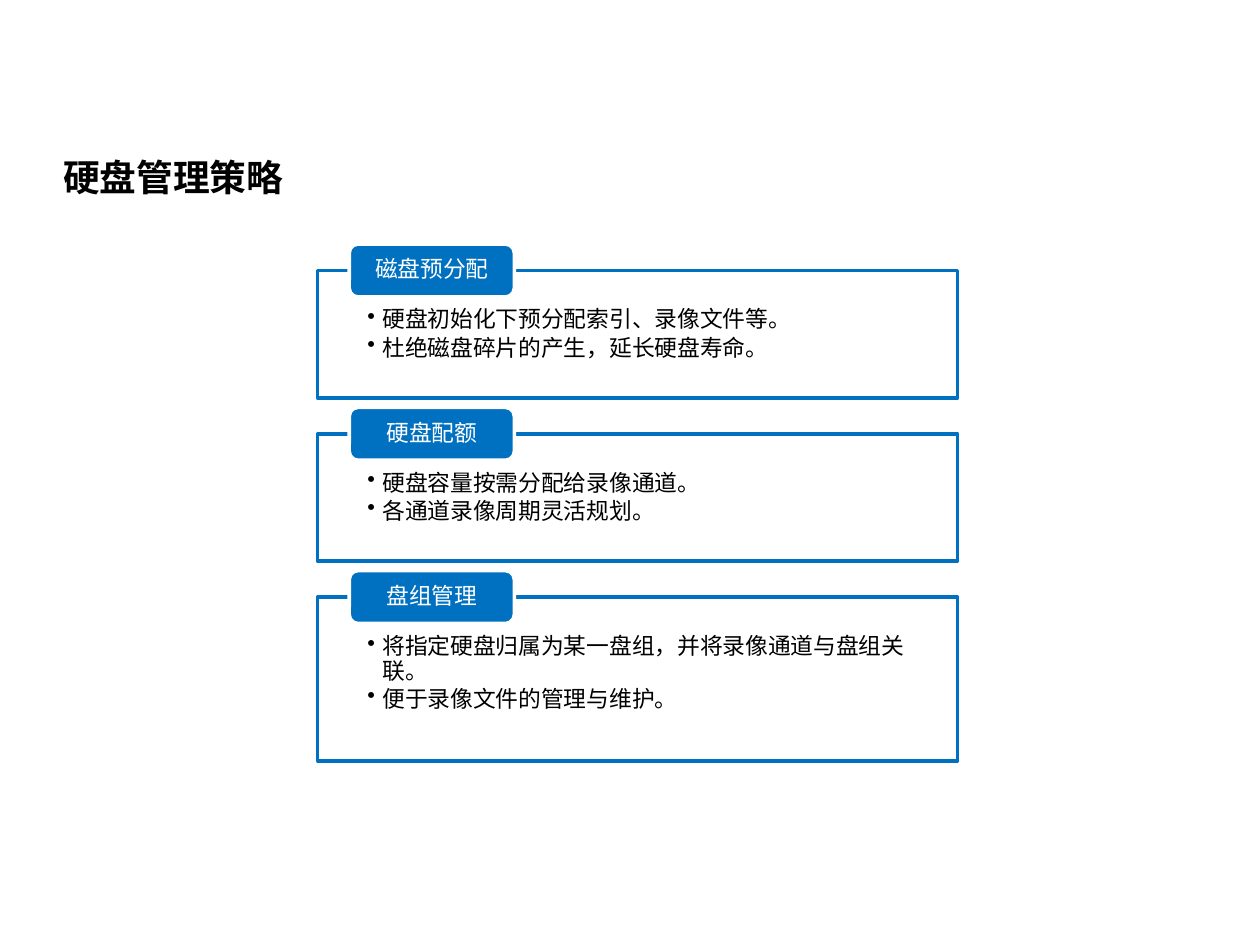
import pptx
import pptx.dml.color
import pptx.enum.shapes
import pptx.enum.text
import pptx.oxml
import pptx.oxml.ns
import pptx.util

Pt = pptx.util.Pt
RGBColor = pptx.dml.color.RGBColor
SHAPES = pptx.enum.shapes.MSO_SHAPE
ALIGN = pptx.enum.text.PP_ALIGN
ANCHOR = pptx.enum.text.MSO_ANCHOR

BLUE = RGBColor(0x00, 0x70, 0xC0)
WHITE = RGBColor(0xFF, 0xFF, 0xFF)
BLACK = RGBColor(0x00, 0x00, 0x00)

# Section layout, in points
FRAME_LEFT, FRAME_WIDTH = 181.5, 365.7
FIRST_TOP, FRAME_GAP = 154.6, 20.5
LABEL_INDENT, LABEL_WIDTH, LABEL_HEIGHT = 18.1, 94.3, 30.2

# Label, frame height, bullet points
SECTIONS = [
    ("磁盘预分配", 72.8,
     ["硬盘初始化下预分配索引、录像文件等。", "杜绝磁盘碎片的产生，延长硬盘寿命。"]),
    ("硬盘配额", 72.8,
     ["硬盘容量按需分配给录像通道。", "各通道录像周期灵活规划。"]),
    ("盘组管理", 93.6,
     ["将指定硬盘归属为某一盘组，并将录像通道与盘组关联。", "便于录像文件的管理与维护。"]),
]


class SlideBuilder:
    font_name = "Arial"
    title_size = 21
    text_size = 13
    line_width = 2

    def __init__(self, slide):
        self.slide = slide

    def add_run(self, paragraph, text, size, color, bold=False):
        run = paragraph.add_run()
        run.text = text
        run.font.name = self.font_name
        run.font.size = Pt(size)
        run.font.bold = bold
        run.font.color.rgb = color

    def set_frame(self, shape, anchor, left, top, right, bottom):
        frame = shape.text_frame
        frame.word_wrap = True
        frame.auto_size = pptx.enum.text.MSO_AUTO_SIZE.NONE
        frame.vertical_anchor = anchor
        frame.margin_left, frame.margin_top = Pt(left), Pt(top)
        frame.margin_right, frame.margin_bottom = Pt(right), Pt(bottom)
        return frame

    def title(self, text, left, top, width, height):
        heading = self.slide.shapes.title
        heading.left, heading.top = Pt(left), Pt(top)
        heading.width, heading.height = Pt(width), Pt(height)
        frame = self.set_frame(heading, ANCHOR.MIDDLE, 7.2, 3.6, 7.2, 3.6)
        frame.paragraphs[0].alignment = ALIGN.LEFT
        self.add_run(frame.paragraphs[0], text, self.title_size, BLACK, bold=True)

    def box(self, kind, left, top, width, height, fill, line):
        shape = self.slide.shapes.add_shape(
            kind, Pt(left), Pt(top), Pt(width), Pt(height))
        shape.shadow.inherit = False
        shape.fill.solid()
        shape.fill.fore_color.rgb = fill
        shape.line.color.rgb = line
        shape.line.width = Pt(self.line_width)
        return shape

    def make_bullet(self, paragraph):
        properties = paragraph._p.get_or_add_pPr()
        properties.set("marL", str(Pt(8.64)))
        properties.set("indent", str(-Pt(8.64)))
        bullet = pptx.oxml.parse_xml(
            f'<a:buChar {pptx.oxml.ns.nsdecls("a")} char="•"/>')
        properties.append(bullet)

    def bullet_frame(self, points, left, top, width, height):
        panel = self.box(SHAPES.RECTANGLE, left, top, width, height, WHITE, BLUE)
        # 90% opaque fill
        color = panel.fill._xPr.find(".//" + pptx.oxml.ns.qn("a:srgbClr"))
        color.append(pptx.oxml.parse_xml(
            f'<a:alpha {pptx.oxml.ns.nsdecls("a")} val="90000"/>'))
        frame = self.set_frame(panel, ANCHOR.TOP, 28.4, 21.6, 28.4, 7.2)
        for index, point in enumerate(points):
            paragraph = frame.add_paragraph() if index else frame.paragraphs[0]
            self.make_bullet(paragraph)
            paragraph.level = 1
            paragraph.alignment = ALIGN.LEFT
            paragraph.line_spacing = 0.9
            paragraph.space_after = Pt(2)
            self.add_run(paragraph, point, self.text_size, BLACK)

    def label(self, text, left, top, width, height):
        tab = self.box(SHAPES.ROUNDED_RECTANGLE, left, top, width, height, BLUE, WHITE)
        frame = self.set_frame(tab, ANCHOR.MIDDLE, 9, 0, 9, 0)
        paragraph = frame.paragraphs[0]
        paragraph.alignment = ALIGN.CENTER
        paragraph.line_spacing = 0.9
        self.add_run(paragraph, text, self.text_size, WHITE)


def main():
    presentation = pptx.Presentation()
    presentation.slide_width, presentation.slide_height = Pt(720), Pt(540)
    title_only = presentation.slide_layouts[5]
    builder = SlideBuilder(presentation.slides.add_slide(title_only))

    builder.title("硬盘管理策略", 28.8, 86.4, 538.6, 29.5)

    # Each label sits centred on the top edge of its frame
    top = FIRST_TOP
    for name, height, points in SECTIONS:
        builder.bullet_frame(points, FRAME_LEFT, top, FRAME_WIDTH, height)
        builder.label(name, FRAME_LEFT + LABEL_INDENT, top - LABEL_HEIGHT / 2,
                      LABEL_WIDTH, LABEL_HEIGHT)
        top += height + FRAME_GAP

    presentation.save("out.pptx")


if __name__ == "__main__":
    main()
